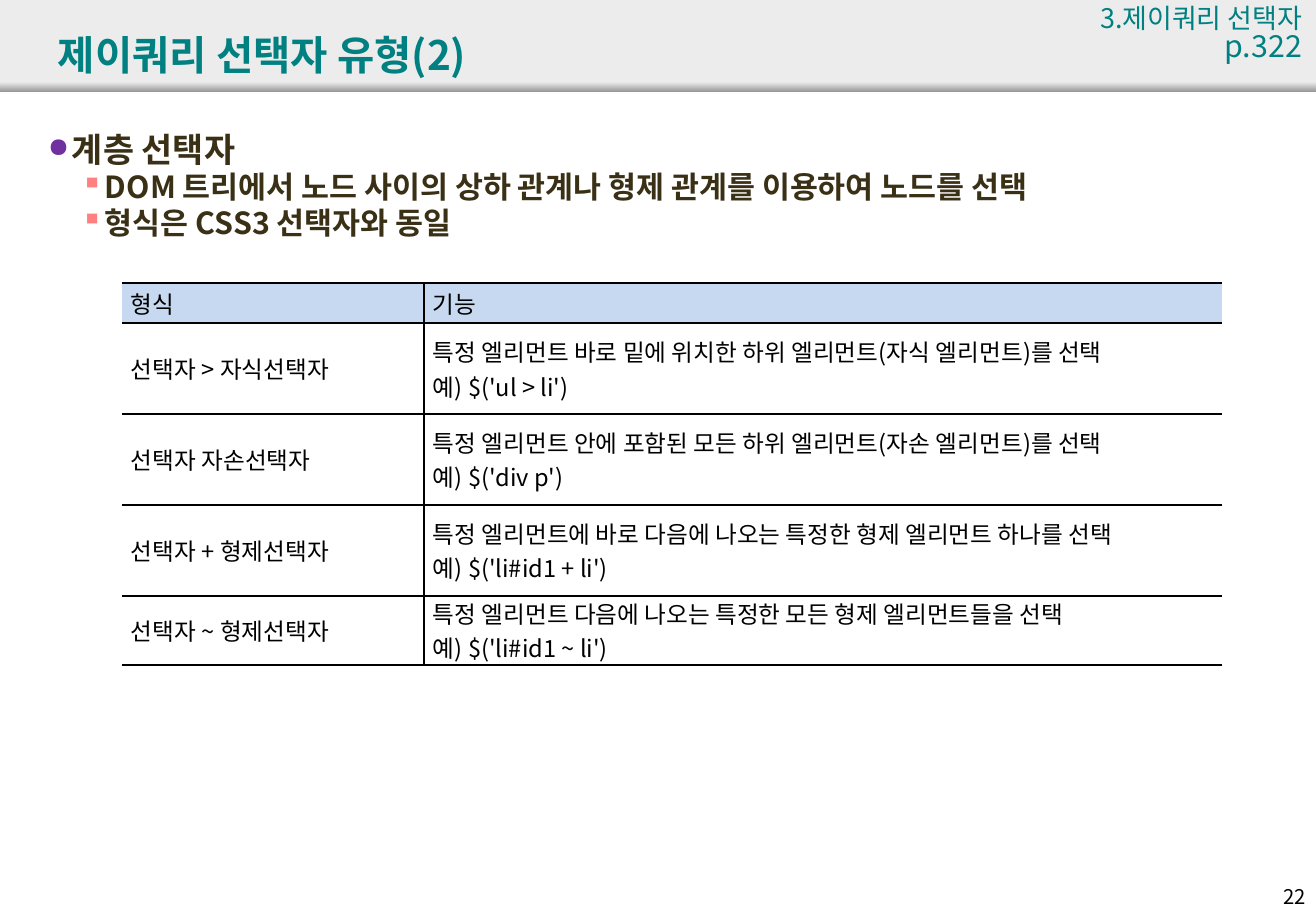
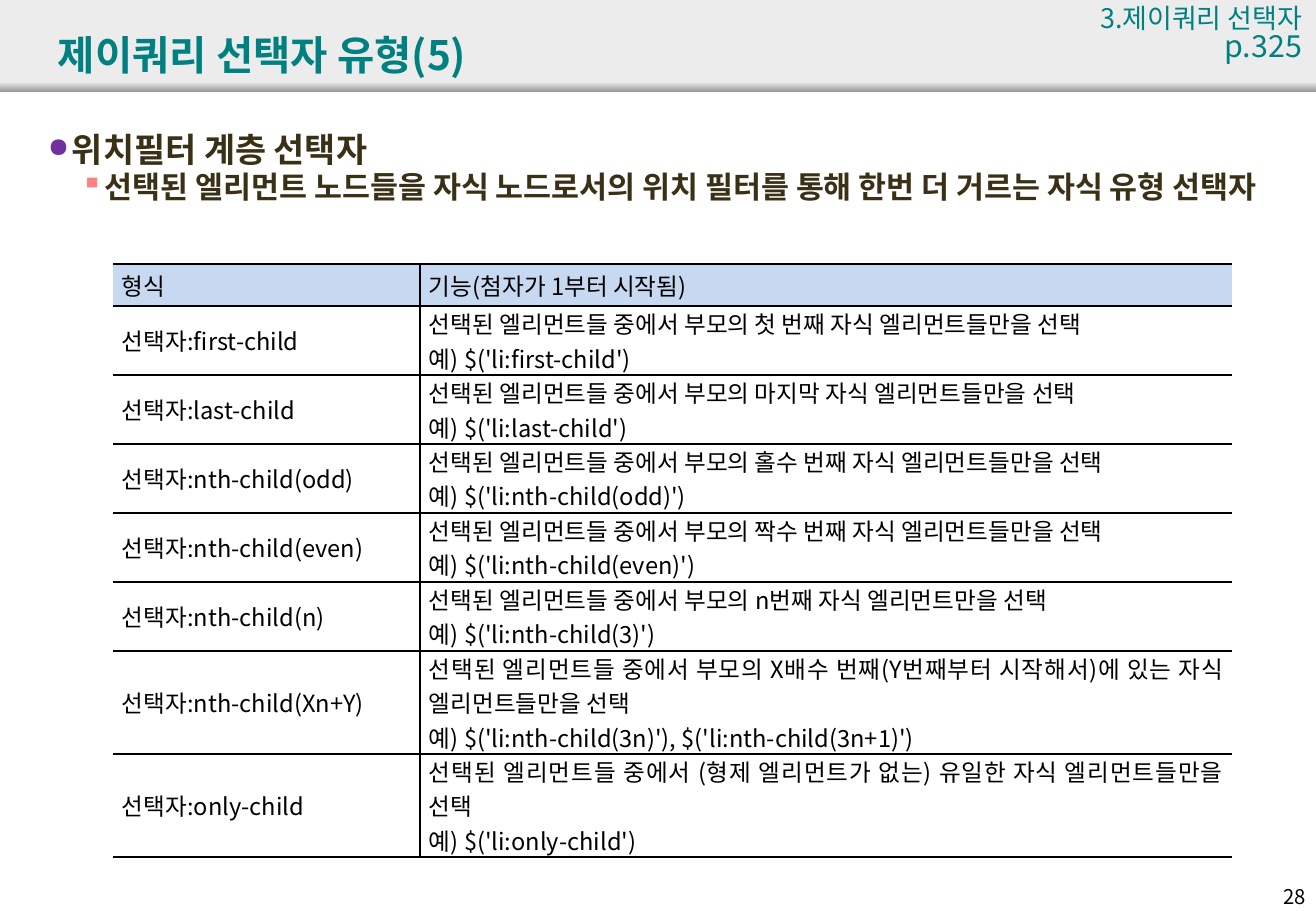
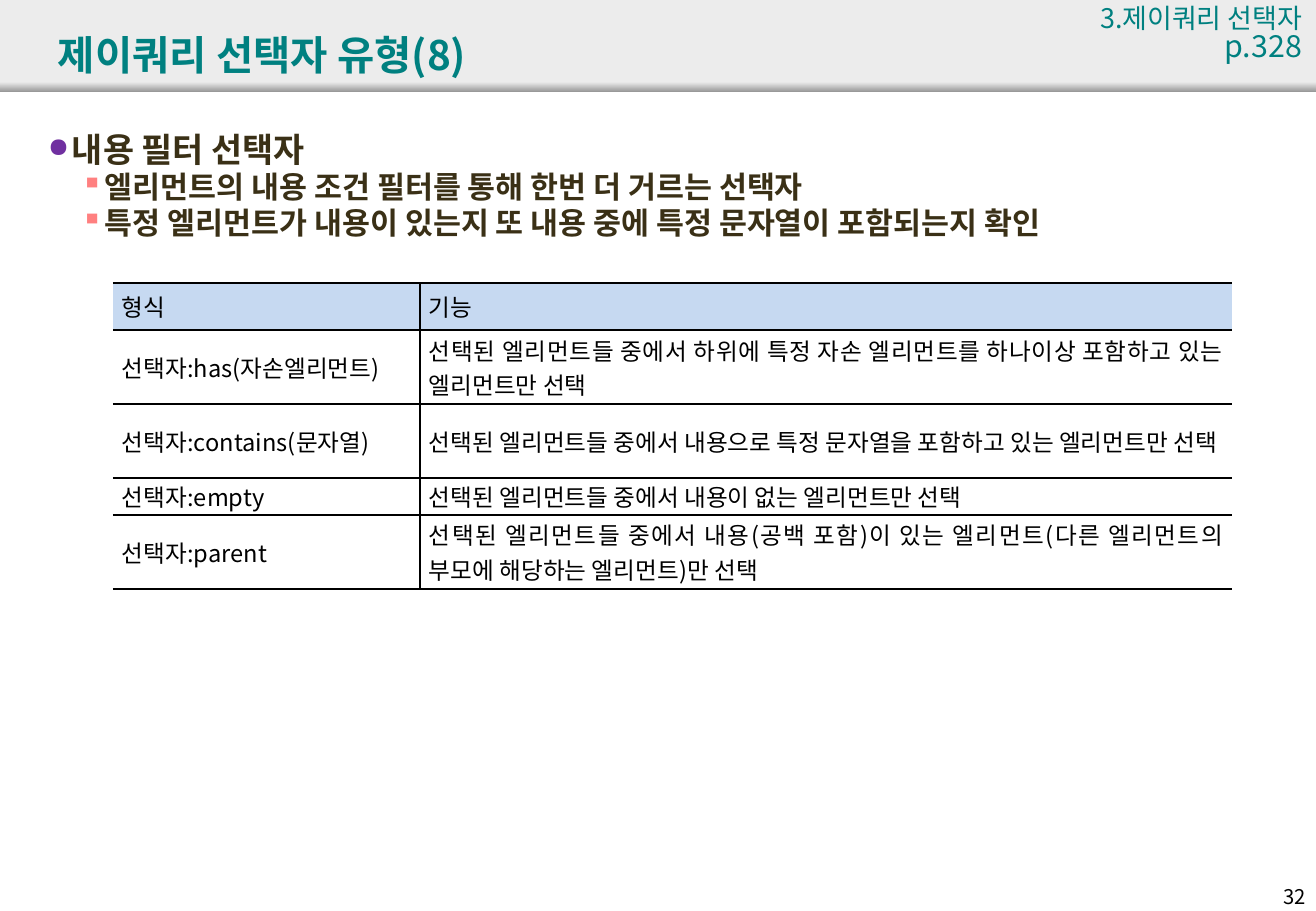
from lxml.etree import SubElement
from pptx import Presentation
from pptx.dml.color import RGBColor
from pptx.enum.shapes import MSO_SHAPE
from pptx.enum.text import MSO_ANCHOR, PP_ALIGN
from pptx.oxml import parse_xml
from pptx.oxml.ns import nsdecls, qn
from pptx.util import Emu, Pt

FONT = "Noto Sans CJK KR"
TEAL, BROWN, BLACK = "008080", "3A3016", "000000"
BAND, EDGE, HEAD = "ECECEC", "979797", "C6D9F1"
WIDE, HIGH = 1316, 911
# mark, mark colour, mark size %, left margin, text size
LEVELS = [("●", "7030A0", 80, 24, 20), ("▪", "FF8080", 100, 57, 18)]
PICK = "선택된 엘리먼트들 중에서 "

SLIDES = [
    dict(
        part=2, page=322, num=22,
        points=["계층 선택자",
                "DOM 트리에서 노드 사이의 상하 관계나 형제 관계를 이용하여 노드를 선택",
                "형식은 CSS3 선택자와 동일"],
        at=(122, 283), cols=(302, 798),
        rows=[
            (40, "형식", ["기능"]),
            (91, "선택자 > 자식선택자",
             ["특정 엘리먼트 바로 밑에 위치한 하위 엘리먼트(자식 엘리먼트)를 선택",
              "예) $('ul > li')"]),
            (91, "선택자 자손선택자",
             ["특정 엘리먼트 안에 포함된 모든 하위 엘리먼트(자손 엘리먼트)를 선택",
              "예) $('div p')"]),
            (91, "선택자 + 형제선택자",
             ["특정 엘리먼트에 바로 다음에 나오는 특정한 형제 엘리먼트 하나를 선택",
              "예) $('li#id1 + li')"]),
            (69, "선택자 ~ 형제선택자",
             ["특정 엘리먼트 다음에 나오는 특정한 모든 형제 엘리먼트들을 선택",
              "예) $('li#id1 ~ li')"]),
        ]),
    dict(
        part=5, page=325, num=28,
        points=["위치필터 계층 선택자",
                "선택된 엘리먼트 노드들을 자식 노드로서의 위치 필터를 통해 "
                "한번 더 거르는 자식 유형 선택자"],
        at=(113, 264), cols=(307, 812),
        rows=[
            (42, "형식", ["기능(첨자가 1부터 시작됨)"]),
            (69, "선택자:first-child",
             [PICK + "부모의 첫 번째 자식 엘리먼트들만을 선택",
              "예) $('li:first-child')"]),
            (69, "선택자:last-child",
             [PICK + "부모의 마지막 자식 엘리먼트들만을 선택",
              "예) $('li:last-child')"]),
            (69, "선택자:nth-child(odd)",
             [PICK + "부모의 홀수 번째 자식 엘리먼트들만을 선택",
              "예) $('li:nth-child(odd)')"]),
            (69, "선택자:nth-child(even)",
             [PICK + "부모의 짝수 번째 자식 엘리먼트들만을 선택",
              "예) $('li:nth-child(even)')"]),
            (69, "선택자:nth-child(n)",
             [PICK + "부모의 n번째 자식 엘리먼트만을 선택",
              "예) $('li:nth-child(3)')"]),
            (103, "선택자:nth-child(Xn+Y)",
             [PICK + "부모의 X배수 번째(Y번째부터 시작해서)에 있는 "
              "자식 엘리먼트들만을 선택",
              "예) $('li:nth-child(3n)'), $('li:nth-child(3n+1)')"]),
            (103, "선택자:only-child",
             [PICK + "(형제 엘리먼트가 없는) 유일한 자식 엘리먼트들만을 선택",
              "예) $('li:only-child')"]),
        ]),
    dict(
        part=8, page=328, num=32,
        points=["내용 필터 선택자",
                "엘리먼트의 내용 조건 필터를 통해 한번 더 거르는 선택자",
                "특정 엘리먼트가 내용이 있는지 또 내용 중에 특정 문자열이 포함되는지 확인"],
        at=(113, 283), cols=(307, 812),
        rows=[
            (47, "형식", ["기능"]),
            (74, "선택자:has(자손엘리먼트)",
             [PICK + "하위에 특정 자손 엘리먼트를 하나이상 포함하고 있는 엘리먼트만 선택"]),
            (74, "선택자:contains(문자열)",
             [PICK + "내용으로 특정 문자열을 포함하고 있는 엘리먼트만 선택"]),
            (37, "선택자:empty", [PICK + "내용이 없는 엘리먼트만 선택"]),
            (74, "선택자:parent",
             [PICK + "내용(공백 포함)이 있는 엘리먼트"
              "(다른 엘리먼트의 부모에 해당하는 엘리먼트)만 선택"]),
        ]),
]


def px(n):
    return Emu(round(n * 914400 / 121.5))


def rgb(code):
    return RGBColor.from_string(code)


def style(para, size, color, bold=False, align=PP_ALIGN.LEFT):
    para.alignment = align
    font = para.font
    font.size, font.bold, font.name = Pt(size), bold, FONT
    font.color.rgb = rgb(color)
    SubElement(font._rPr, qn("a:ea"), typeface=FONT)


def fill_text(frame, lines):
    """Write one paragraph a line and return the paragraphs."""
    frame.text = "\n".join(lines)
    return frame.paragraphs


def add_box(slide, x, y, w, h, lines, wrap=True, anchor=MSO_ANCHOR.TOP):
    frame = slide.shapes.add_textbox(px(x), px(y), px(w), px(h)).text_frame
    frame.word_wrap, frame.vertical_anchor = wrap, anchor
    return fill_text(frame, lines)


def add_band(slide, y, h):
    band = slide.shapes.add_shape(MSO_SHAPE.RECTANGLE, 0, px(y), px(WIDE), px(h))
    band.shadow.inherit = False
    band.line.fill.background()
    return band.fill


def add_frame(slide, part, page, num):
    """Draw what all slides share: bands, title, chapter tag, number."""
    plain = add_band(slide, 0, 91)
    plain.solid()
    plain.fore_color.rgb = rgb(BAND)
    fade = add_band(slide, 82, 10)
    fade.gradient()
    fade.gradient_angle = 270
    for stop, color, pos in zip(fade.gradient_stops, (BAND, EDGE), (0, 1)):
        stop.color.rgb, stop.position = rgb(color), pos

    title = add_box(slide, 46, 16, 1205, 76, [f"제이쿼리 선택자 유형({part})"],
                    anchor=MSO_ANCHOR.MIDDLE)
    style(title[0], 24, TEAL, True)
    tag = add_box(slide, 1080, 2, 234, 80, ["3.제이쿼리 선택자", f"p.{page}"],
                  wrap=False)
    for para, size in zip(tag, (16, 18)):
        para.line_spacing = 0.8
        style(para, size, TEAL, align=PP_ALIGN.RIGHT)
    foot = add_box(slide, 1251, 878, 67, 36, [str(num)])
    style(foot[0], 12, BLACK, align=PP_ALIGN.RIGHT)


def add_points(slide, points):
    for i, para in enumerate(add_box(slide, 36, 130, 1254, 150, points)):
        mark, color, scale, left, size = LEVELS[min(i, 1)]
        para.line_spacing, para.space_before = 0.83, Pt(3)
        props = para._p.get_or_add_pPr()
        props.set("marL", str(px(left)))
        props.set("indent", str(px(-24)))
        SubElement(SubElement(props, qn("a:buClr")), qn("a:srgbClr"), val=color)
        SubElement(props, qn("a:buSzPct"), val=str(scale * 1000))
        SubElement(props, qn("a:buChar"), char=mark)
        style(para, size, BROWN, True)


def set_edges(cell, shown):
    """Rule the named sides (of L, R, T, B) in black and clear the others."""
    ink = f'<a:solidFill><a:srgbClr val="{BLACK}"/></a:solidFill>'
    for i, side in enumerate("LRTB"):
        body = ink if side in shown else "<a:noFill/>"
        line = f'<a:ln{side} {nsdecls("a")} w="12700">{body}</a:ln{side}>'
        cell._tc.get_or_add_tcPr().insert(i, parse_xml(line))


def add_grid(slide, at, cols, rows):
    high = sum(row[0] for row in rows)
    table = slide.shapes.add_table(len(rows), len(cols), px(at[0]), px(at[1]),
                                   px(sum(cols)), px(high)).table
    table.first_row = table.horz_banding = False
    for col, wide in zip(table.columns, cols):
        col.width = px(wide)
    for r, (tall, form, use) in enumerate(rows):
        table.rows[r].height = px(tall)
        for c, lines in enumerate(([form], use)):
            cell = table.cell(r, c)
            cell.margin_left = cell.margin_right = px(9)
            cell.margin_top = cell.margin_bottom = 0
            cell.vertical_anchor = MSO_ANCHOR.MIDDLE
            if r == 0:
                cell.fill.solid()
                cell.fill.fore_color.rgb = rgb(HEAD)
            else:
                cell.fill.background()
            set_edges(cell, ("RTB", "LTB")[c])
            for para in fill_text(cell.text_frame, lines):
                style(para, 14, BLACK, align=PP_ALIGN.JUSTIFY)


def main():
    deck = Presentation()
    deck.slide_width, deck.slide_height = px(WIDE), px(HIGH)
    for data in SLIDES:
        slide = deck.slides.add_slide(deck.slide_layouts[6])
        add_frame(slide, data["part"], data["page"], data["num"])
        add_points(slide, data["points"])
        add_grid(slide, data["at"], data["cols"], data["rows"])
    deck.save("out.pptx")


if __name__ == "__main__":
    main()
